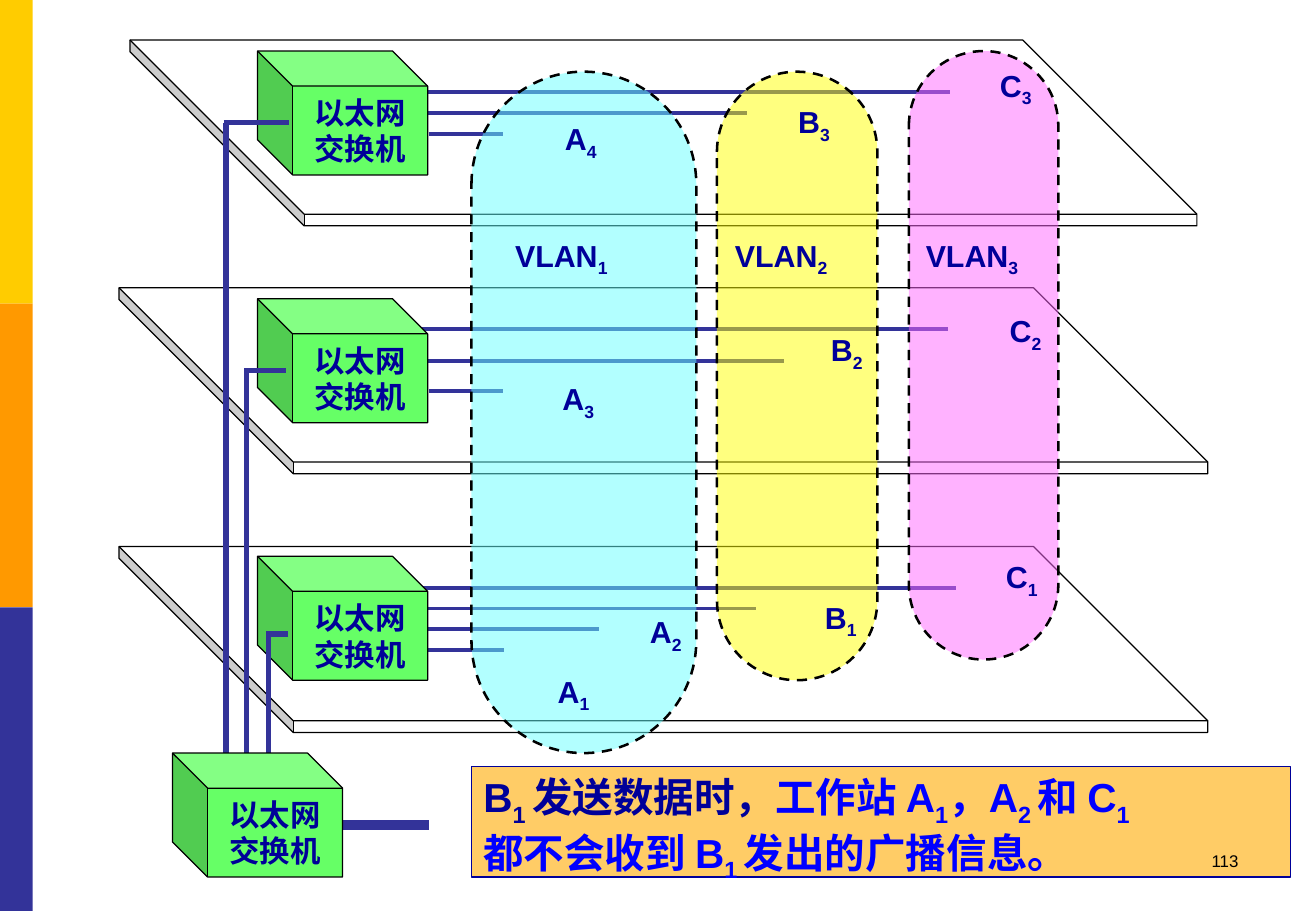
from lxml import etree
from pptx import Presentation
from pptx.dml.color import RGBColor
from pptx.enum import dml, shapes, text
from pptx.oxml import ns
from pptx.util import Inches, Pt

COLORS = {
    "gold": "FFCC00", "orange": "FF9900", "indigo": "333399", "navy": "000099",
    "blue": "0000FF", "black": "000000", "white": "FFFFFF", "green": "66FF66",
    "sand": "FFCC66", "cyan": "66FFFF", "yellow": "FFFF00", "pink": "FF66FF",
}
STRIPES = ["gold", "orange", "indigo"]
FLOORS = [(0.98, 4.5, 8.96), (0.98, 2.37, 8.96), (1.07, 0.33, 8.78)]
SWITCHES = [(2.12, 4.58), (2.12, 0.42), (2.12, 2.46)]
HUB = (1.42, 6.2)
SWITCH_NAME = ["以太网", "交换机"]
UPLINK = (2.66, 6.79, 3.53, 6.79)
LINKS = [
    (3.17, 7.82, 0.76), (3.35, 6.15, 0.93), (3.53, 4.14, 1.1),
    (3.09, 7.8, 2.71), (3.35, 6.45, 2.97), (3.53, 4.14, 3.22),
    (2.85, 7.87, 4.84), (3.09, 6.22, 5.01), (3.26, 4.93, 5.18), (3.26, 4.15, 5.35),
]
RISERS = [(1.86, 1.01, 6.53, 2.38), (2.03, 3.05, 6.7, 2.35), (2.21, 5.22, 6.88, 2.37)]
VLANS = [
    (5.9, 0.59, 1.32, 5.01, "yellow"),
    (3.88, 0.59, 1.85, 5.61, "cyan"),
    (7.48, 0.42, 1.23, 5.01, "pink"),
]
LABELS = [
    ("VLAN", "1", 4.14, 1.9), ("VLAN", "2", 5.95, 1.9), ("VLAN", "3", 7.52, 1.9),
    ("A", "1", 4.49, 5.49), ("A", "2", 5.25, 5), ("A", "3", 4.53, 3.08), ("A", "4", 4.55, 0.94),
    ("B", "1", 6.69, 4.88), ("B", "2", 6.74, 2.68), ("B", "3", 6.47, 0.8),
    ("C", "1", 8.18, 4.55), ("C", "2", 8.21, 2.52), ("C", "3", 8.13, 0.5),
]
NOTE = [
    [("B", "navy", False), ("1 ", "navy", True), ("发送数据时，", "navy", False),
     ("工作站 A", "blue", False), ("1", "blue", True), ("，A", "blue", False),
     ("2 ", "blue", True), ("和 C", "blue", False), ("1", "blue", True)],
    [("都不会收到 B", "blue", False), ("1 ", "blue", True), ("发出的广播信息。", "blue", False)],
]
PAGE_NUMBER = "113"

deck = Presentation()
deck.slide_width, deck.slide_height = Inches(10.83), Inches(7.5)
page = deck.slides.add_slide(deck.slide_layouts[6])


def rgb(name):
    return RGBColor.from_string(COLORS[name])


def write(box, lines, size, bold=True, align=text.PP_ALIGN.LEFT, **frame_format):
    frame = box.text_frame
    for name, value in frame_format.items():
        setattr(frame, name, value)
    for index, pieces in enumerate(lines):
        para = frame.paragraphs[0] if index == 0 else frame.add_paragraph()
        para.alignment = align
        for words, color, lowered in pieces:
            span = para.add_run()
            span.text = words
            for name, value in {"name": "Arial", "size": Pt(size), "bold": bold}.items():
                setattr(span.font, name, value)
            span.font.color.rgb = rgb(color)
            if lowered:
                span.font._element.set("baseline", "-25000")


def add_block(kind, place, fill, line=None, width=0.75, adjust=None):
    block = page.shapes.add_shape(kind, *map(Inches, place))
    block.shadow.inherit = False
    block.fill.solid()
    block.fill.fore_color.rgb = rgb(fill)
    if line:
        block.line.color.rgb = rgb(line)
        block.line.width = Pt(width)
    else:
        block.line.fill.background()
    if adjust is not None:
        block.adjustments[0] = adjust
    return block


def add_cube(place, fill, depth):
    cube = add_block(shapes.MSO_SHAPE.CUBE, place, fill, "black", adjust=depth)
    cube.element.spPr.xfrm.set("flipH", "1")
    return cube


def add_switch(left, top):
    cube = add_cube((left, top, 1.4, 1.02), "green", 0.283)
    write(cube, [[(words, "navy", False)] for words in SWITCH_NAME], 18,
          align=text.PP_ALIGN.CENTER, word_wrap=False,
          vertical_anchor=text.MSO_ANCHOR.MIDDLE)


def add_line(ends, width):
    line = page.shapes.add_connector(shapes.MSO_CONNECTOR.STRAIGHT, *map(Inches, ends))
    line.line.color.rgb = rgb("indigo")
    line.line.width = Pt(width)
    etree.SubElement(line.element.spPr, ns.qn("a:effectLst"))


def add_text(place, lines, size, **options):
    box = page.shapes.add_textbox(*map(Inches, place))
    write(box, lines, size, **options)


for index, color in enumerate(STRIPES):
    add_block(shapes.MSO_SHAPE.RECTANGLE, (0, 2.5 * index, 0.27, 2.5), color)

note = add_block(shapes.MSO_SHAPE.RECTANGLE, (3.88, 6.31, 6.74, 0.91), "sand", "navy")
write(note, NOTE, 24, word_wrap=True, vertical_anchor=text.MSO_ANCHOR.TOP,
      auto_size=text.MSO_AUTO_SIZE.SHAPE_TO_FIT_TEXT)

for left, top, width in FLOORS:
    add_cube((left, top, width, 1.53), "white", 0.937)

add_line(UPLINK, 6)
for start, end, height in LINKS:
    add_line((start, height, end, height), 2.25)

for left, top in SWITCHES:
    add_switch(left, top)

for *place, color in VLANS:
    vlan = add_block(shapes.MSO_SHAPE.ROUNDED_RECTANGLE, place, color, "black", 1.5, 0.5)
    vlan.line.dash_style = dml.MSO_LINE.DASH
    tint = vlan.element.spPr.find(ns.qn("a:solidFill"))[0]
    etree.SubElement(tint, ns.qn("a:alpha"), val="50000")

for name, number, left, top in LABELS:
    width = 0.98 if name == "VLAN" else 0.48
    add_text((left, top, width, 0.4), [[(name, "navy", False), (number, "navy", True)]], 18,
             word_wrap=False, auto_size=text.MSO_AUTO_SIZE.SHAPE_TO_FIT_TEXT)

for left, top, bottom, right in RISERS:
    add_line((left, top, left, bottom), 3)
    add_line((left - 0.02, top, right, top), 3)

add_switch(*HUB)
add_text((7.76, 6.95, 2.53, 0.5), [[(PAGE_NUMBER, "black", False)]], 10,
         bold=False, align=text.PP_ALIGN.RIGHT, word_wrap=True)

deck.save("out.pptx")
